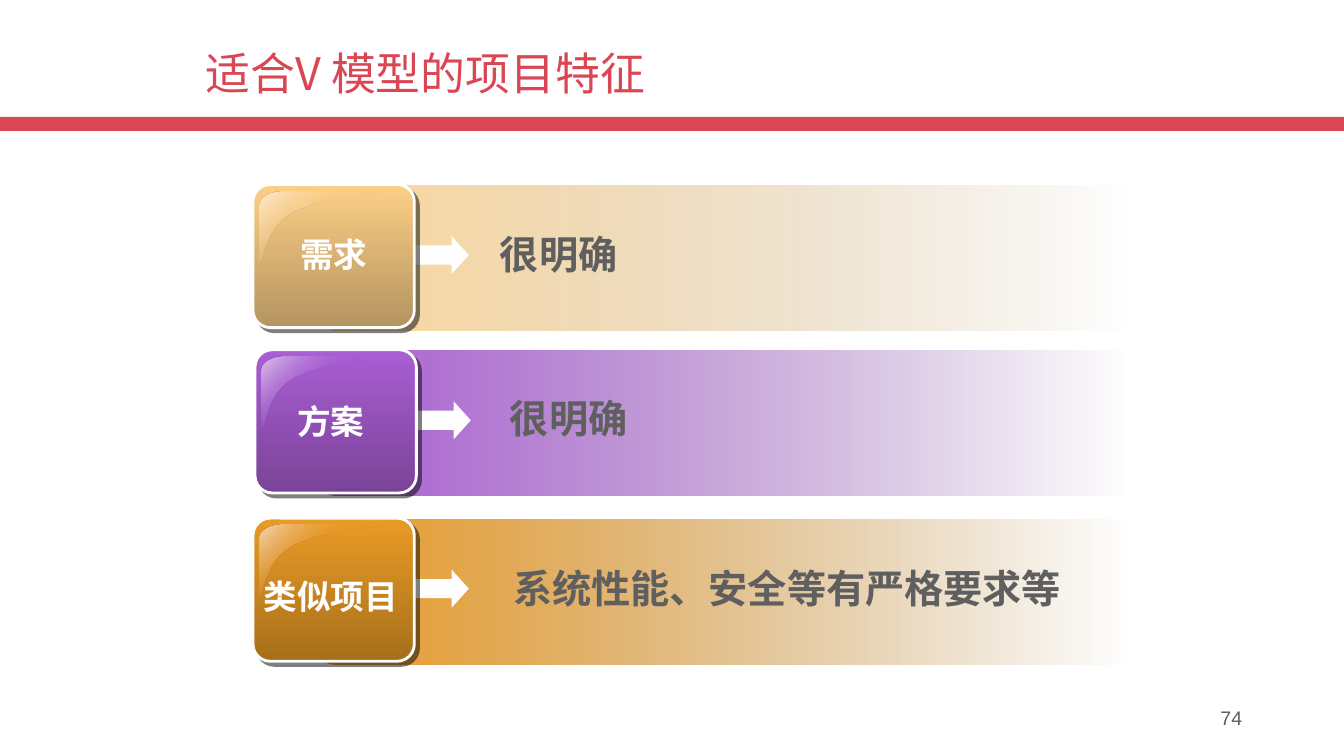
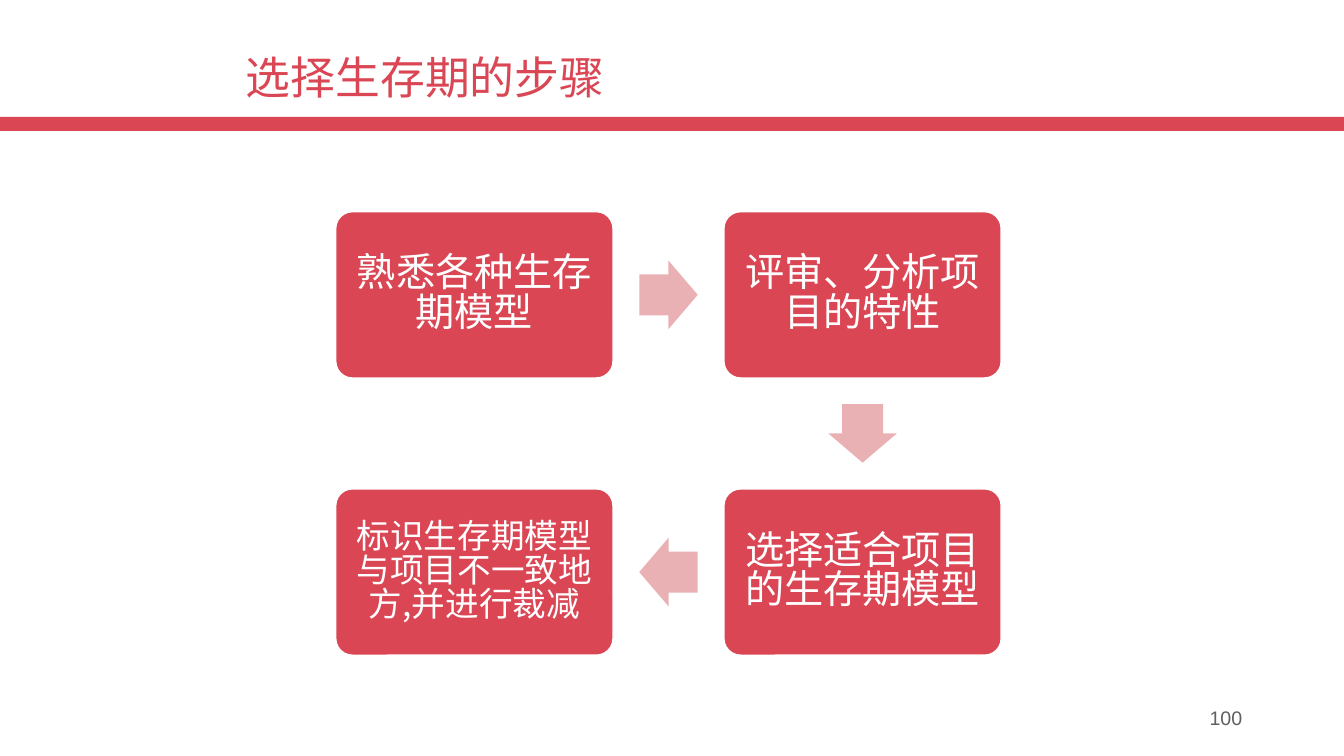
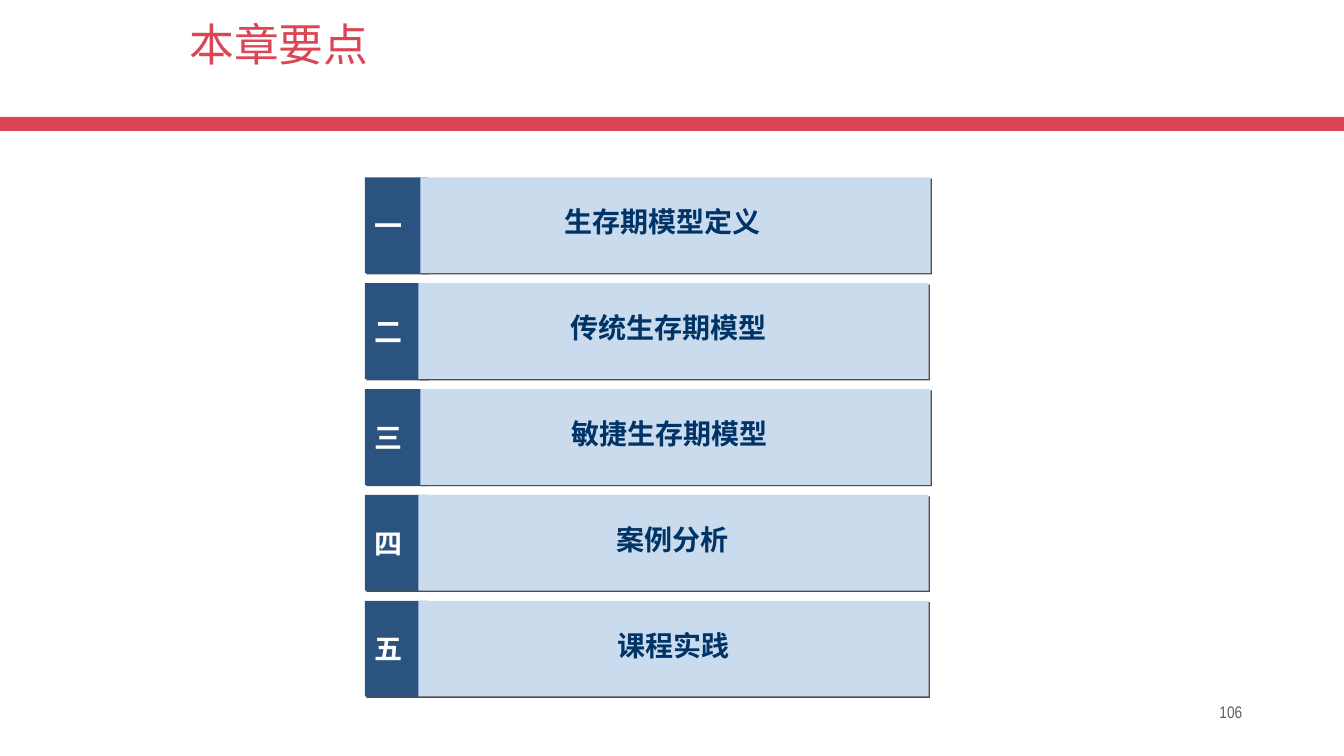
"""Build three slides on software life-cycle models."""
from dataclasses import dataclass

from pptx import Presentation
from pptx.dml.color import RGBColor
from pptx.enum.shapes import MSO_SHAPE
from pptx.enum.text import MSO_ANCHOR, PP_ALIGN
from pptx.oxml import parse_xml
from pptx.oxml.ns import nsdecls, qn
from pptx.util import Inches, Pt


@dataclass(frozen=True)
class Theme:
    red: str = "DA4654"
    pink: str = "EAB1B4"
    white: str = "FFFFFF"
    off_white: str = "FEFEFE"
    grey: str = "5F5F5F"
    dark_grey: str = "4D4D4D"
    black: str = "000000"
    navy: str = "003366"
    blue: str = "2A5380"
    pale_blue: str = "CADBEE"
    cjk: str = "Noto Sans CJK SC"
    cjk_steps: str = "Noto Sans CJK JP"
    latin: str = "Arial"
    narrow: str = "Arial Narrow"
    title: int = 32
    large: int = 28
    medium: int = 24
    small: int = 20
    page: int = 14
    page_small: int = 12


THEME = Theme()

FEATURES = [
    dict(label="需求", note="很明确", tile=(2.51, 1.83), label_at=(2.51, 2.27),
         note_at=(4.86, 2.24), start="FCCF86", end="B49460", shine="FEE9D0", opacity=80),
    dict(label="方案", note="很明确", tile=(2.53, 3.47), label_at=(2.48, 3.93),
         note_at=(4.96, 3.86), start="AA5ED4", end="7A4398", shine="DBC7EB", opacity=100),
    dict(label="类似项目", note="系统性能、安全等有严格要求等", tile=(2.51, 5.14), label_at=(2.48, 5.66),
         note_at=(4.99, 5.55), start="EA9B26", end="A76F1B", shine="F5D6C0", opacity=100),
]

STEPS = [
    ("熟悉各种生存期模型", 0, 0, THEME.large),
    ("评审、分析项目的特性", 1, 0, THEME.large),
    ("选择适合项目的生存期模型", 1, 1, THEME.large),
    ("标识生存期模型与项目不一致地方,并进行裁减", 0, 1, THEME.medium),
]
STEP_TURNS = [0, 90, 180]

CHAPTER_POINTS = [
    ("一", "生存期模型定义", 4.17, 0.13),
    ("二", "传统生存期模型", 4.15, 0.05),
    ("三", "敏捷生存期模型", 4.17, 0.06),
    ("四", "案例分析", 4.15, 0.01),
    ("五", "课程实践", 4.15, 0),
]


def write(frame, text, size=THEME.small, color=THEME.white, bold=False, font=THEME.cjk,
          ea=THEME.cjk, align=PP_ALIGN.LEFT, anchor=MSO_ANCHOR.TOP, spacing=None,
          insets=(0.1, 0.05, 0.1, 0.05), wrap=True):
    frame.word_wrap = wrap
    frame.vertical_anchor = anchor
    (frame.margin_left, frame.margin_top,
     frame.margin_right, frame.margin_bottom) = map(Inches, insets)
    paragraph = frame.paragraphs[0]
    paragraph.alignment = align
    if spacing:
        paragraph.line_spacing = spacing
    run = paragraph.add_run()
    run.text = text
    run.font.size = Pt(size)
    run.font.bold = bold
    run.font.name = font
    run.font.color.rgb = RGBColor.from_string(color)
    run.font._element.find(qn("a:latin")).addnext(
        parse_xml(f'<a:ea {nsdecls("a")} typeface="{ea}"/>'))


def add_text(slide, box, text, **text_format):
    write(slide.shapes.add_textbox(*map(Inches, box)).text_frame, text, **text_format)


def set_gradient(shape, stops, angle):
    shape.fill.solid()
    solid = shape._element.spPr.find(qn("a:solidFill"))
    marks = "".join(
        f'<a:gs pos="{pos * 1000}"><a:srgbClr val="{color}">'
        f'<a:alpha val="{opacity * 1000}"/></a:srgbClr></a:gs>'
        for pos, color, opacity in stops)
    solid.getparent().replace(solid, parse_xml(
        f'<a:gradFill {nsdecls("a")} rotWithShape="1"><a:gsLst>{marks}</a:gsLst>'
        f'<a:lin ang="{angle * 60000}" scaled="0"/></a:gradFill>'))


def set_shadow(shape, color, opacity, distance):
    shape._element.spPr.find(qn("a:effectLst")).append(parse_xml(
        f'<a:outerShdw {nsdecls("a")} blurRad="0" dist="{Pt(distance)}" dir="2700000" '
        f'algn="ctr" rotWithShape="0"><a:srgbClr val="{color}">'
        f'<a:alpha val="{opacity * 1000}"/></a:srgbClr></a:outerShdw>'))


def add_block(slide, kind, box, fill=None, line=None, line_width=1, adjust=()):
    block = slide.shapes.add_shape(kind, *map(Inches, box))
    block.shadow.inherit = False
    for index, value in enumerate(adjust):
        block.adjustments[index] = value
    if fill:
        block.fill.solid()
        block.fill.fore_color.rgb = RGBColor.from_string(fill)
    if line:
        block.line.color.rgb = RGBColor.from_string(line)
        block.line.width = Pt(line_width)
    else:
        block.line.fill.background()
    return block


def curve(start, first, second, end, count=12):
    for step in range(1, count + 1):
        t = step / count
        weights = ((1 - t) ** 3, 3 * t * (1 - t) ** 2, 3 * t * t * (1 - t), t ** 3)
        yield tuple(sum(w * point[axis] for w, point in zip(weights, (start, first, second, end)))
                    for axis in (0, 1))


def add_shine(slide, left, top, color, middle):
    outline = [
        *curve((0.24, 0), (0.11, 0), (0, 0.06), (0, 0.14)),
        (0, 0.7),
        *curve((0, 0.7), (0.06, 0.71), (0.03, 0.37), (0.33, 0.21)),
        *curve((0.33, 0.21), (0.63, 0.05), (1.2, 0.04), (1.19, 0)),
    ]
    builder = slide.shapes.build_freeform(Inches(left + 0.24), Inches(top))
    builder.add_line_segments([(Inches(left + x), Inches(top + y)) for x, y in outline])
    shine = builder.convert_to_shape()
    shine.shadow.inherit = False
    shine.line.fill.background()
    set_gradient(shine, [(0, color, 100), (50, middle, 0), (100, color, 100)], 45)


def new_slide(deck, title, title_box, page, title_anchor=MSO_ANCHOR.MIDDLE, **page_format):
    slide = deck.slides.add_slide(deck.slide_layouts[6])
    add_block(slide, MSO_SHAPE.RECTANGLE, (0, 1.16, 13.33, 0.14), THEME.red)
    add_text(slide, title_box, title, size=THEME.title, color=THEME.red,
             anchor=title_anchor, spacing=0.9)
    add_text(slide, (9.42, 6.95, 3, 0.4), page, color=THEME.grey, align=PP_ALIGN.RIGHT,
             **{"size": THEME.page, "font": THEME.latin, **page_format})
    return slide


def build_features(deck):
    slide = new_slide(deck, "适合V 模型的项目特征", (1.94, 0.21, 8.92, 1.08), "74")
    for feature in FEATURES:
        left, top = feature["tile"]
        start, end = feature["start"], feature["end"]
        band = add_block(slide, MSO_SHAPE.ROUNDED_RECTANGLE, (3.15, top + 0.01, 8.08, 1.44),
                         adjust=[0.12])
        set_gradient(band, [(0, start, feature["opacity"]), (100, end, 0)], 0)
        add_block(slide, MSO_SHAPE.RIGHT_ARROW, (left + 1.58, top + 0.51, 0.56, 0.38),
                  THEME.off_white, adjust=[0.5, 0.45])
        tile = add_block(slide, MSO_SHAPE.ROUNDED_RECTANGLE, (left, top, 1.6, 1.42),
                         line=THEME.off_white, line_width=2, adjust=[0.12])
        set_gradient(tile, [(0, start, 100), (100, end, 100)], 90)
        set_shadow(tile, THEME.black, 50, 4.2)
        add_shine(slide, left + 0.06, top + 0.07, feature["shine"], start)
        add_text(slide, (*feature["note_at"], 5.8, 0.57), feature["note"],
                 size=THEME.large, color=THEME.grey, bold=True)
        add_text(slide, (*feature["label_at"], 1.6, 0.5), feature["label"], size=THEME.medium,
                 bold=True, font=THEME.latin, align=PP_ALIGN.CENTER)


def build_steps(deck):
    slide = new_slide(deck, "选择生存期的步骤", (2.34, 0.25, 8.92, 1.08), "100")
    width, height = 2.75, 1.65
    arrow_width, arrow_height = 0.58, 0.68
    centres = []
    for label, column, row, size in STEPS:
        left, top = 3.33 + column * 3.85, 2.1 + row * 2.75
        centres.append((left + width / 2, top + height / 2))
        step = add_block(slide, MSO_SHAPE.ROUNDED_RECTANGLE, (left, top, width, height),
                         THEME.red, THEME.white, adjust=[0.1])
        write(step.text_frame, label, size=size, font=THEME.cjk_steps, ea=THEME.cjk_steps,
              align=PP_ALIGN.CENTER, anchor=MSO_ANCHOR.MIDDLE, spacing=0.84, insets=[0.11] * 4)
    for (x1, y1), (x2, y2), turn in zip(centres, centres[1:], STEP_TURNS):
        arrow = add_block(slide, MSO_SHAPE.RIGHT_ARROW,
                          ((x1 + x2 - arrow_width) / 2, (y1 + y2 - arrow_height) / 2,
                           arrow_width, arrow_height), THEME.pink, adjust=[0.6, 0.5])
        arrow.rotation = turn


def build_chapter_points(deck):
    slide = new_slide(deck, "本章要点", (1.78, 0.18, 8.5, 1.25), "106", MSO_ANCHOR.TOP,
                      size=THEME.page_small, font=THEME.narrow, spacing=0.8)
    for index, (numeral, label, panel_left, shift) in enumerate(CHAPTER_POINTS):
        top = 1.76 + index * 1.05
        tab = add_block(slide, MSO_SHAPE.RECTANGLE, (3.62, top, 0.62, 0.95), THEME.blue)
        write(tab.text_frame, numeral, bold=True, anchor=MSO_ANCHOR.MIDDLE, wrap=False)
        panel = add_block(slide, MSO_SHAPE.RECTANGLE, (panel_left, top, 5.06, 0.95),
                          THEME.pale_blue)
        write(panel.text_frame, label, color=THEME.navy, bold=True, align=PP_ALIGN.CENTER,
              anchor=MSO_ANCHOR.MIDDLE, insets=(0.1, 0.05, 0.1 + 2 * shift, 0.12))
        for block in (tab, panel):
            set_shadow(block, THEME.dark_grey, 100, 1.4)


def main():
    deck = Presentation()
    deck.slide_width, deck.slide_height = Inches(13.33), Inches(7.5)
    build_features(deck)
    build_steps(deck)
    build_chapter_points(deck)
    deck.save("out.pptx")


if __name__ == "__main__":
    main()
